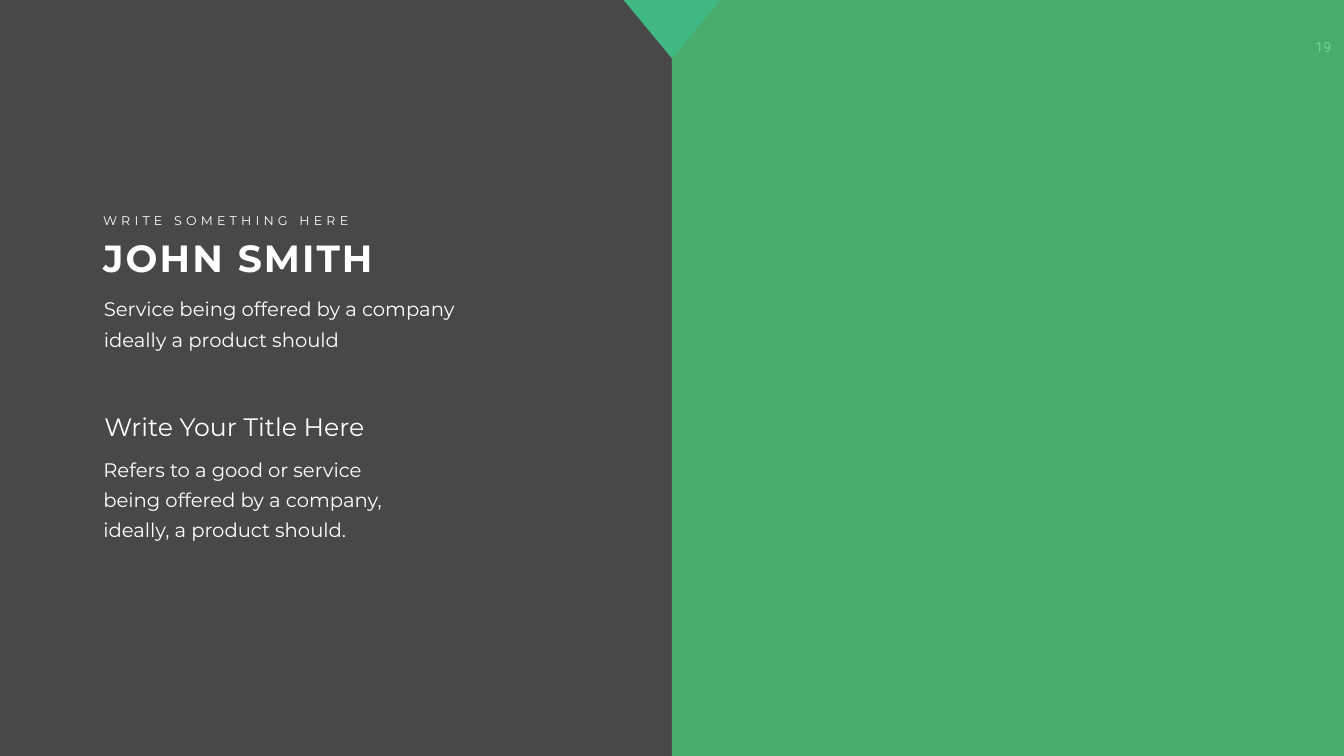
from dataclasses import dataclass

from pptx import Presentation
from pptx import util as u
from pptx.dml.color import RGBColor
from pptx.enum import shapes, text
from pptx.oxml.ns import qn
from lxml import etree


@dataclass(frozen=True)
class Theme:
    background: str = "484848"
    panel: str = "4BC676"
    marker: str = "40B884"
    ink: str = "FFFFFF"
    font: str = "Montserrat"
    number_font: str = "Roboto"
    name_size: int = 54
    title_size: int = 36
    body_size: int = 28
    number_size: int = 20
    label_size: int = 18
    body_leading: int = 43


THEME = Theme()
WIDTH, HEIGHT = 26.66, 15
BODY_INSETS = (0.24, 0.12)


def add_text(slide, box, wording, *, size, font=THEME.font, bold=False, tracking=0,
             leading=None, insets=(0.1, 0.05), align=text.PP_ALIGN.LEFT):
    """Add a one-paragraph text box; tracking and leading are in points."""
    shape = slide.shapes.add_textbox(*map(u.Inches, box))
    frame = shape.text_frame
    frame.word_wrap = True
    frame.margin_left = frame.margin_right = u.Inches(insets[0])
    frame.margin_top = frame.margin_bottom = u.Inches(insets[1])
    paragraph = frame.paragraphs[0]
    paragraph.alignment = align
    if leading:
        paragraph.line_spacing = u.Pt(leading)
    run = paragraph.add_run()
    run.text = wording
    run.font.name = font
    run.font.size = u.Pt(size)
    run.font.bold = bold
    run.font.color.rgb = RGBColor.from_string(THEME.ink)
    if tracking:
        run.font._element.set("spc", str(tracking * 100))


def add_filled_shape(slide, kind, box, color, rotation=0, opacity=100):
    shape = slide.shapes.add_shape(kind, *map(u.Inches, box))
    shape.shadow.inherit = False
    shape.rotation = rotation
    shape.fill.solid()
    shape.fill.fore_color.rgb = RGBColor.from_string(color)
    shape.line.fill.background()
    if opacity < 100:
        fill_color = shape._element.spPr.find(qn("a:solidFill")).find(qn("a:srgbClr"))
        etree.SubElement(fill_color, qn("a:alpha")).set("val", str(opacity * 1000))


def add_profile(slide):
    add_text(slide, (1.95, 4.18, 6.27, 0.4), "WRITE SOMETHING HERE",
             size=THEME.label_size, tracking=6)
    add_text(slide, (1.95, 4.6, 6.27, 1.01), "JOHN SMITH",
             size=THEME.name_size, bold=True, tracking=3)
    add_text(slide, (1.82, 5.65, 7.64, 1.39),
             "Service being offered by a company ideally a product should",
             size=THEME.body_size, leading=THEME.body_leading, insets=BODY_INSETS)


def add_details(slide):
    add_text(slide, (1.97, 8.12, 6.1, 0.71), "Write Your Title Here",
             size=THEME.title_size)
    add_text(slide, (1.81, 8.83, 6.27, 2),
             "Refers to a good or service being offered by a company, "
             "ideally, a product should.",
             size=THEME.body_size, leading=THEME.body_leading, insets=BODY_INSETS)


def main():
    presentation = Presentation()
    presentation.slide_width = u.Inches(WIDTH)
    presentation.slide_height = u.Inches(HEIGHT)
    slide = presentation.slides.add_slide(presentation.slide_layouts[6])
    slide.background.fill.solid()
    slide.background.fill.fore_color.rgb = RGBColor.from_string(THEME.background)

    # The page number lies under the translucent panel, which tints it.
    add_text(slide, (25.8, 0.67, 0.9, 0.54), "19", size=THEME.number_size,
             font=THEME.number_font, insets=(0.2, 0.1), align=text.PP_ALIGN.CENTER)
    add_filled_shape(slide, shapes.MSO_SHAPE.RECTANGLE,
                     (WIDTH / 2, 0, WIDTH / 2, HEIGHT), THEME.panel, opacity=80)
    add_profile(slide)
    add_details(slide)
    marker_width = 1.97
    add_filled_shape(slide, shapes.MSO_SHAPE.ISOSCELES_TRIANGLE,
                     ((WIDTH - marker_width) / 2, -0.03, marker_width, 1.19),
                     THEME.marker, rotation=180)
    presentation.save("out.pptx")


if __name__ == "__main__":
    main()
